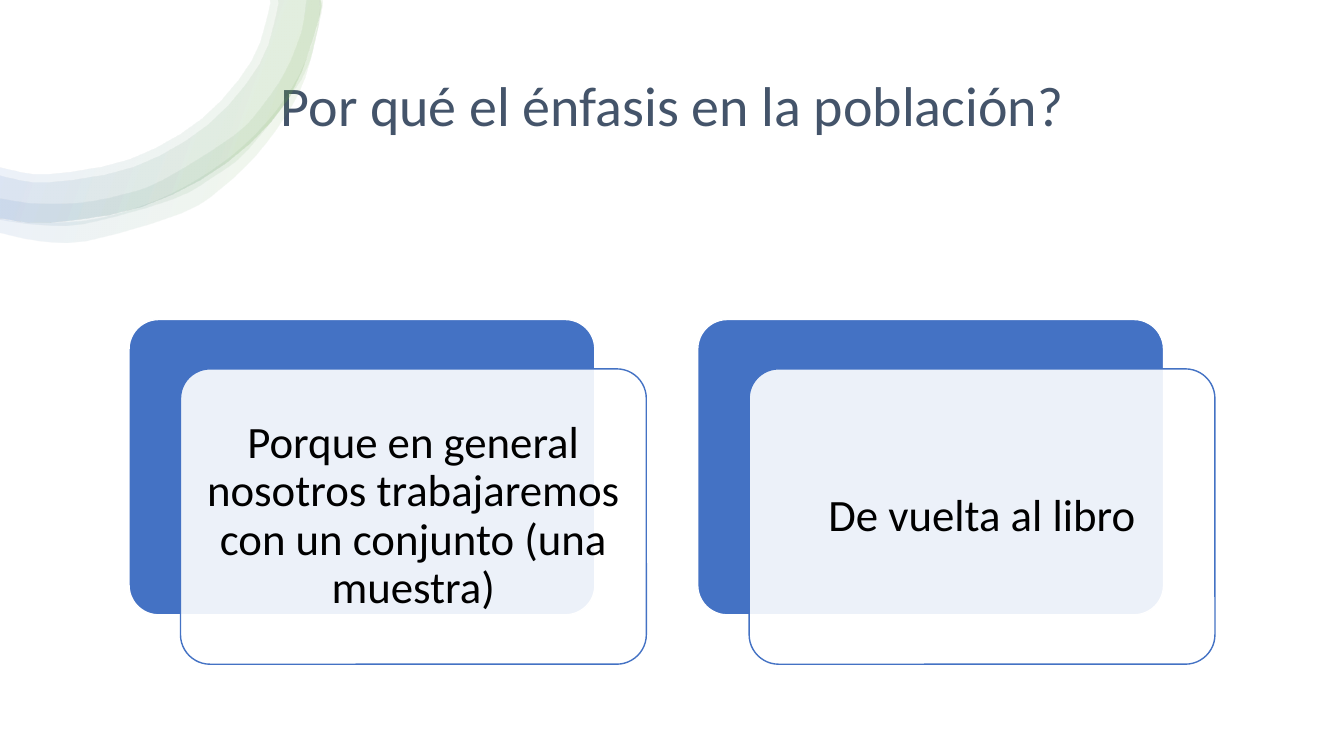
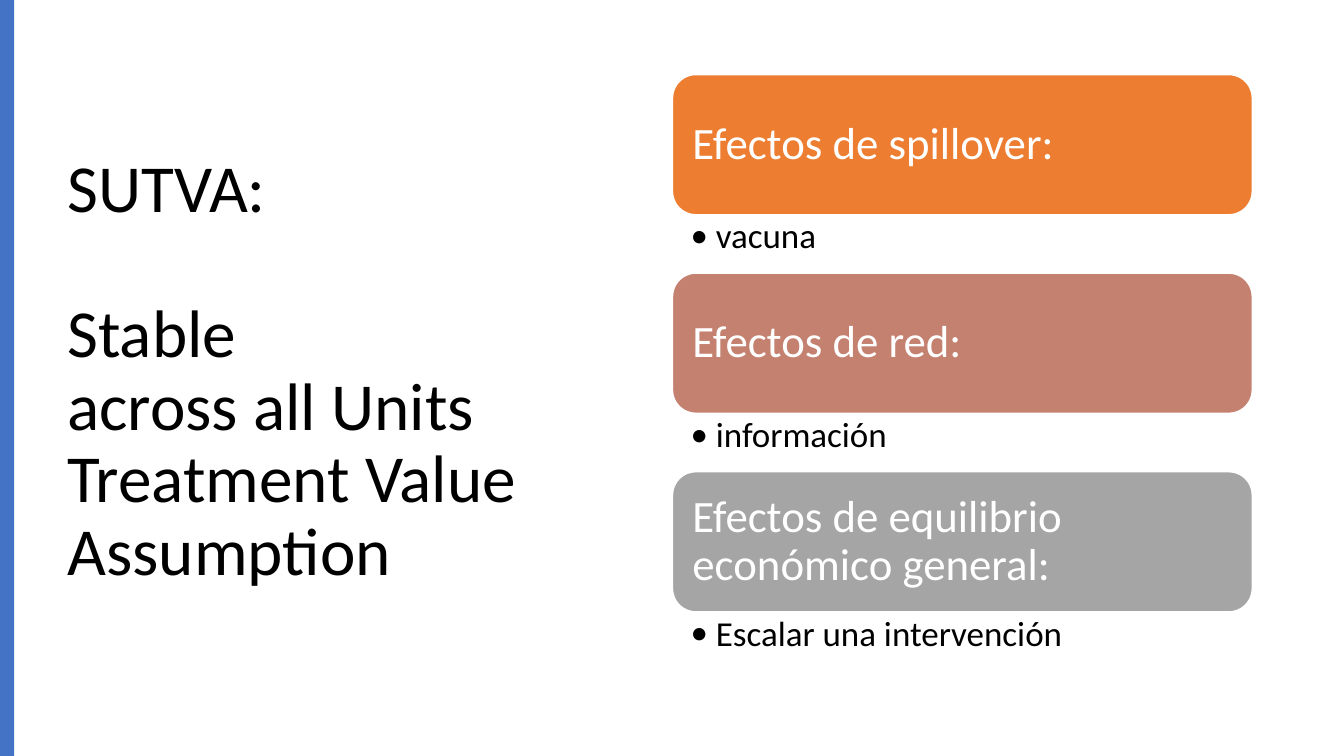
from lxml.etree import SubElement
from pptx import Presentation
from pptx.dml.color import RGBColor
from pptx.enum.shapes import MSO_SHAPE as Shape
from pptx.enum.text import MSO_ANCHOR as Anchor, PP_ALIGN as Align
from pptx.oxml.ns import qn
from pptx.util import Inches, Pt

FONT = "Calibri"
COLORS = {
    "white": "FFFFFF", "black": "000000", "slate": "44546A", "blue": "4472C4",
    "green": "70AD47", "orange": "ED7D31", "rose": "C48170", "gray": "A5A5A5",
}

# Corner swoosh: outer and inner edge of each band, as points on the curve
UNITS_PER_INCH = 1000
OUTER_RIM = [(3.17, 0), (3.16, 0.18), (2.86, 0.98), (2.24, 1.62),
             (1.41, 2.05), (0.49, 2.21), (0.04, 2.17), (0, 2.16)]
SWOOSH_BANDS = [
    (OUTER_RIM,
     [(0, 1.66), (0.13, 1.69), (0.49, 1.73), (1.29, 1.58), (2, 1.18),
      (2.49, 0.61), (2.66, 0.11), (2.67, 0)]),
    (OUTER_RIM,
     [(0, 1.74), (0.12, 1.77), (0.49, 1.81), (1.32, 1.66), (2.06, 1.24),
      (2.57, 0.64), (2.74, 0.12), (2.75, 0)]),
    ([(3.17, 0), (3.17, 0.17), (3.13, 0.38), (2.99, 0.79), (2.46, 1.48),
      (2.11, 1.75), (1.71, 1.97), (0.84, 2.21), (0.38, 2.22), (0, 2.17)],
     [(0, 1.96), (0.18, 1.99), (0.39, 2.01), (0.81, 2), (1.22, 1.92),
      (1.61, 1.78), (2.32, 1.34), (2.6, 1.05), (2.83, 0.71), (2.98, 0.35),
      (3.02, 0.15), (3.04, 0)]),
    ([(3.19, 0), (3.18, 0.12), (3.02, 0.77), (2.81, 1.17), (2.53, 1.54),
      (2.19, 1.86), (1.79, 2.11), (0.86, 2.38), (0.38, 2.38), (0, 2.3)],
     [(0, 2.16), (0.17, 2.19), (0.39, 2.2), (0.84, 2.18), (1.27, 2.08),
      (1.68, 1.92), (2.07, 1.7), (2.42, 1.43), (2.72, 1.11), (2.96, 0.74),
      (3.12, 0.33), (3.16, 0.12), (3.16, 0)]),
]
SWOOSH_STOPS = [(2, "white"), (16, "green"), (85, "blue"), (100, "white")]


def rgb(color):
    return RGBColor.from_string(COLORS[color])


def set_opacity(color_element, percent):
    SubElement(color_element, qn("a:alpha"), val=str(percent * 1000))


# Text
def write_text(shape, text, *, size, color="black", align=Align.LEFT,
               anchor=Anchor.MIDDLE, insets=(0.1, 0.05, 0.1, 0.05),
               gap=0, bullet=False):
    frame = shape.text_frame
    frame.word_wrap = True
    frame.vertical_anchor = anchor
    (frame.margin_left, frame.margin_top,
     frame.margin_right, frame.margin_bottom) = map(Inches, insets)
    frame.text = text
    for paragraph in frame.paragraphs:
        paragraph.alignment = align
        paragraph.line_spacing = 0.9
        paragraph.space_after = Pt(gap)
        for run in paragraph.runs:
            run.font.name, run.font.size = FONT, Pt(size)
            run.font.color.rgb = rgb(color)
        if bullet:
            properties = paragraph._p.get_or_add_pPr()
            properties.set("marL", str(Inches(0.25)))
            properties.set("indent", str(Inches(-0.25)))
            SubElement(properties, qn("a:buFont"), typeface=FONT)
            SubElement(properties, qn("a:buChar"), char="•")


def add_text(slide, text, box, **text_format):
    write_text(slide.shapes.add_textbox(*map(Inches, box)), text, **text_format)


# Shapes
def add_panel(slide, kind, box, fill, line=None, corner=None, opacity=None):
    panel = slide.shapes.add_shape(kind, *map(Inches, box))
    panel.shadow.inherit = False
    panel.fill.solid()
    panel.fill.fore_color.rgb = rgb(fill)
    if opacity is not None:
        set_opacity(panel.element.spPr.find(".//" + qn("a:srgbClr")), opacity)
    if line:
        panel.line.color.rgb = rgb(line)
        panel.line.width = Pt(1)
    else:
        panel.line.fill.background()
    if corner is not None:
        panel.adjustments[0] = corner
    return panel


def smooth(points, steps=3):
    """Catmull-Rom curve through the points, in freeform units."""
    padded = [points[0], *points, points[-1]]
    curve = [points[0]]
    for a, b, c, d in zip(padded, padded[1:], padded[2:], padded[3:]):
        for step in range(1, steps + 1):
            t = step / steps
            curve.append(tuple(
                q + t * (r - p) / 2
                + t**2 * (2 * p - 5 * q + 4 * r - s) / 2
                + t**3 * (3 * q - p - 3 * r + s) / 2
                for p, q, r, s in zip(a, b, c, d)))
    return [(round(x * UNITS_PER_INCH), round(y * UNITS_PER_INCH))
            for x, y in curve]


def add_swoosh_band(slide, outer, inner):
    start, *rest = smooth(outer) + smooth(inner)
    builder = slide.shapes.build_freeform(
        *start, scale=Inches(1) / UNITS_PER_INCH)
    builder.add_line_segments(rest, close=True)
    band = builder.convert_to_shape()
    band.shadow.inherit = False
    band.line.fill.background()
    band.fill.gradient()
    band.fill.gradient_angle = 160
    stops = band.element.spPr.find(".//" + qn("a:gsLst"))
    for stop in list(stops):
        stops.remove(stop)
    for position, color in SWOOSH_STOPS:
        stop = SubElement(stops, qn("a:gs"), pos=str(position * 1000))
        set_opacity(SubElement(stop, qn("a:srgbClr"), val=COLORS[color]), 10)


def add_offset_card(slide, left, top, text):
    width, height = 4.62, 2.93
    add_panel(slide, Shape.ROUNDED_RECTANGLE, (left, top, width, height),
              "blue", line="white", corner=0.1)
    front = add_panel(slide, Shape.ROUNDED_RECTANGLE,
                      (left + 0.51, top + 0.49, width, height),
                      "white", line="blue", corner=0.1, opacity=90)
    write_text(front, text, size=32, align=Align.CENTER, insets=(0.13,) * 4)


def add_effect(slide, top, color, heading, example):
    left, width, bar_height = 6.67, 5.75, 1.39
    bar = add_panel(slide, Shape.ROUNDED_RECTANGLE,
                    (left, top, width, bar_height), color, line="white")
    write_text(bar, heading, size=32, color="white", insets=(0.13,) * 4)
    add_text(slide, example, (left, top + bar_height, width, 0.58), size=25,
             anchor=Anchor.TOP, insets=(0.18, 0.04, 0.25, 0.04), bullet=True)


# Slides
def build_population_slide(slide):
    add_text(slide, "Por qué el énfasis en la población?",
             (1.29, 0.35, 10.75, 1.45), size=40, color="slate",
             align=Align.CENTER)
    for outer, inner in SWOOSH_BANDS:
        add_swoosh_band(slide, outer, inner)
    reasons = [
        "Porque en general nosotros trabajaremos con un conjunto (una muestra)",
        "De vuelta al libro",
    ]
    for index, reason in enumerate(reasons):
        add_offset_card(slide, 1.28 + 5.64 * index, 3.17, reason)


def build_sutva_slide(slide):
    add_text(slide,
             "SUTVA:\nStable\vacross all Units\vTreatment Value\vAssumption",
             (0.57, 0.68, 5.67, 6.02), size=48, gap=52)
    add_panel(slide, Shape.RECTANGLE, (0, 0, 0.14, 7.5), "blue")
    effects = [
        ("orange", "Efectos de spillover:", "vacuna"),
        ("rose", "Efectos de red:", "información"),
        ("gray", "Efectos de equilibrio económico general:",
         "Escalar una intervención"),
    ]
    for index, effect in enumerate(effects):
        add_effect(slide, 0.74 + 1.97 * index, *effect)


def main():
    deck = Presentation()
    deck.slide_width, deck.slide_height = Inches(13.33), Inches(7.5)
    blank = deck.slide_layouts[6]
    for build in (build_population_slide, build_sutva_slide):
        build(deck.slides.add_slide(blank))
    deck.save("out.pptx")


if __name__ == "__main__":
    main()
